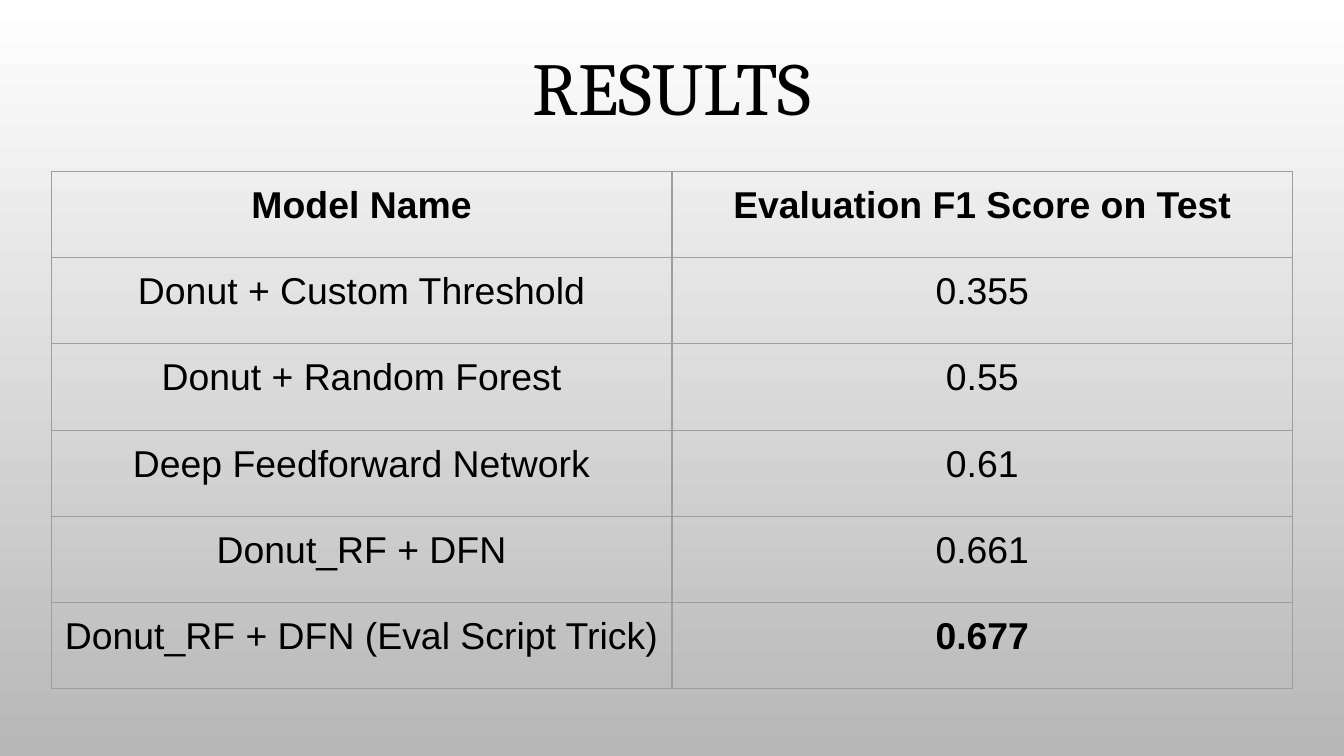
from dataclasses import dataclass

from lxml import etree
from pptx import Presentation
from pptx import util as u
from pptx.dml import color
from pptx.enum import text
from pptx.oxml import ns


@dataclass(frozen=True)
class Theme:
    ink: str = "000000"
    rule: str = "9E9E9E"
    top: str = "FFFFFF"
    base: str = "B7B7B7"
    head: str = "Cambria"
    body: str = "Arial"
    title: int = 40
    cell: int = 20
    line: float = 0.75


theme = Theme()


def write(frame, words, font, size, bold=False):
    para = frame.paragraphs[0]
    para.alignment = text.PP_ALIGN.CENTER
    run = para.add_run()
    run.text = words
    run.font.name = font
    run.font.size = u.Pt(size)
    run.font.bold = bold
    run.font.color.rgb = color.RGBColor.from_string(theme.ink)
    return para


def border(cell):
    props = cell._tc.get_or_add_tcPr()
    for side in ("lnL", "lnR", "lnT", "lnB"):
        line = etree.SubElement(props, ns.qn(f"a:{side}"), w=str(u.Pt(theme.line)))
        fill = etree.SubElement(line, ns.qn("a:solidFill"))
        etree.SubElement(fill, ns.qn("a:srgbClr"), val=theme.rule)


deck = Presentation()
deck.slide_width, deck.slide_height = u.Cm(25.4), u.Cm(14.29)
slide = deck.slides.add_slide(deck.slide_layouts[6])

# Background: white at the top to grey at the bottom
back = slide.background.fill
back.gradient()
back.gradient_angle = 270
for stop, tone, place in zip(back.gradient_stops, (theme.top, theme.base), (0, 1)):
    stop.color.rgb = color.RGBColor.from_string(tone)
    stop.position = place

# Title
box = slide.shapes.add_textbox(u.Cm(8.97), u.Cm(0.79), u.Cm(7.46), u.Cm(1.8))
frame = box.text_frame
frame.word_wrap = True
frame.vertical_anchor = text.MSO_ANCHOR.BOTTOM
frame.margin_left = frame.margin_right = u.Cm(0.19)
frame.margin_top = frame.margin_bottom = u.Cm(0.1)
write(frame, "RESULTS", theme.head, theme.title).line_spacing = 0.9

# Results table: the header and the best score are bold
scores = [
    ("Model Name", "Evaluation F1 Score on Test"),
    ("Donut + Custom Threshold", "0.355"),
    ("Donut + Random Forest", "0.55"),
    ("Deep Feedforward Network", "0.61"),
    ("Donut_RF + DFN", "0.661"),
    ("Donut_RF + DFN (Eval Script Trick)", "0.677"),
]
wide, high = u.Cm(11.73), u.Cm(1.63)
last = len(scores) - 1
grid = slide.shapes.add_table(
    len(scores), 2, u.Cm(0.97), u.Cm(3.24), wide * 2, high * len(scores)
).table
grid.first_row = grid.horz_banding = False
for row, pair in enumerate(scores):
    grid.rows[row].height = high
    for col, words in enumerate(pair):
        cell = grid.cell(row, col)
        cell.margin_left = cell.margin_right = u.Cm(0.25)
        cell.margin_top = cell.margin_bottom = u.Cm(0.25)
        border(cell)
        cell.fill.background()
        bold = row == 0 or (row, col) == (last, 1)
        write(cell.text_frame, words, theme.body, theme.cell, bold)

deck.save("out.pptx")
